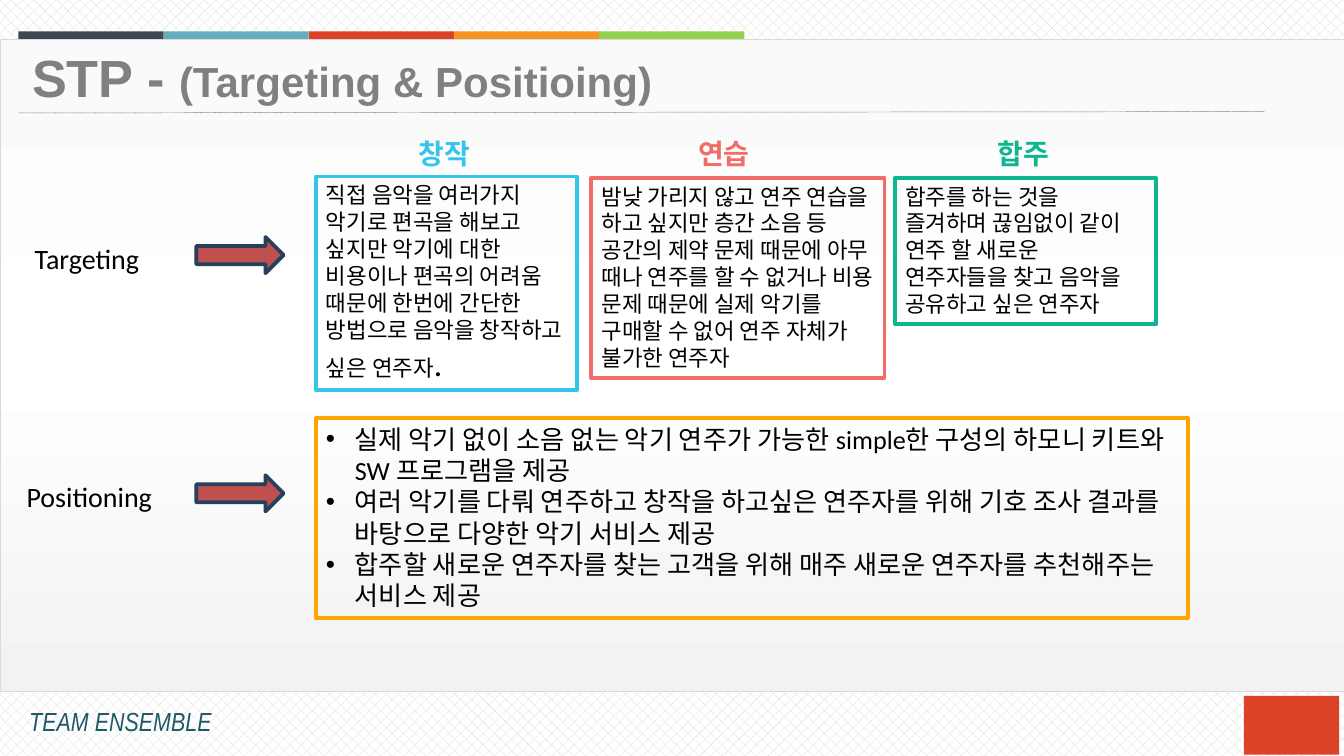
from lxml import etree
from pptx import Presentation
from pptx.dml.color import RGBColor as RGB
from pptx.enum.dml import MSO_LINE, MSO_PATTERN
from pptx.enum.shapes import MSO_CONNECTOR, MSO_SHAPE
from pptx.enum.text import MSO_AUTO_SIZE
from pptx.oxml.ns import qn
from pptx.util import Pt

BLACK = RGB(0x00, 0x00, 0x00)
WHITE = RGB(0xFF, 0xFF, 0xFF)
PALE_GRAY = RGB(0xF2, 0xF2, 0xF2)
NEAR_WHITE = RGB(0xFA, 0xFA, 0xFA)
LIGHT_GRAY = RGB(0xD9, 0xD9, 0xD9)
SILVER = RGB(0xBF, 0xBF, 0xBF)
TITLE_GRAY = RGB(0x80, 0x80, 0x80)
RULE_GRAY = RGB(0x59, 0x59, 0x59)
SLATE = RGB(0x41, 0x46, 0x54)
TEAL = RGB(0x67, 0xAC, 0xBC)
RED = RGB(0xDC, 0x42, 0x26)
AMBER = RGB(0xF7, 0x94, 0x21)
LIME = RGB(0x92, 0xD0, 0x50)
FOOTER_TEAL = RGB(0x21, 0x59, 0x68)
SKY = RGB(0x35, 0xC5, 0xEB)
CORAL = RGB(0xF2, 0x6D, 0x68)
GREEN = RGB(0x0D, 0xB6, 0x90)
ORANGE = RGB(0xFF, 0xA5, 0x00)
ARROW_RED = RGB(0xC0, 0x50, 0x4D)
NAVY = RGB(0x27, 0x40, 0x5E)

STRIPES = (SLATE, TEAL, RED, AMBER, LIME)
WIDE_INSETS = (7.2, 3.6)
TIGHT_INSETS = (5.4, 2.7)

TARGETS = [
    ("창작", SKY, 218.9, 51, (169.2, 94.5, 139.9, 114.5),
     [("직접 음악을 여러가지 악기로 편곡을 해보고 싶지만 악기에 대한 비용이나 편곡의 어려움 "
       "때문에 한번에 간단한 방법으로 음악을 창작하고 싶은 연주자", 12), (".", 18)]),
    ("연습", CORAL, 368.6, 51, (316.8, 95.2, 157, 107.3),
     [("밤낮 가리지 않고 연주 연습을 하고 싶지만 층간 소음 등 공간의 제약 문제 때문에 아무 때나 "
       "연주를 할 수 없거나 비용 문제 때문에 실제 악기를 구매할 수 없어 연주 자체가 불가한 연주자", 12)]),
    ("합주", GREEN, 529.2, 57.6, (479.5, 95.2, 139.9, 78.5),
     [("합주를 하는 것을 즐겨하며 끊임없이 같이 연주 할 새로운 연주자들을 찾고 음악을 "
       "공유하고 싶은 연주자", 12)]),
]
POSITIONING = [
    "실제 악기 없이 소음 없는 악기 연주가 가능한 simple한 구성의 하모니 키트와 SW 프로그램을 제공",
    "여러 악기를 다뤄 연주하고 창작을 하고싶은 연주자를 위해 기호 조사 결과를 바탕으로 다양한 악기 서비스 제공",
    "합주할 새로운 연주자를 찾는 고객을 위해 매주 새로운 연주자를 추천해주는 서비스 제공",
]
ROWS = [("Targeting", 11.5, 126), ("Positioning", 7.2, 253.6)]


def points(*values):
    return [Pt(value) for value in values]


def set_pattern(fill, pattern, front):
    fill.patterned()
    fill.pattern = pattern
    fill.fore_color.rgb = front
    fill.back_color.rgb = WHITE


def add_block(slide, box, color=None, line=None, line_width=2, kind=MSO_SHAPE.RECTANGLE):
    shape = slide.shapes.add_shape(kind, *points(*box))
    shape.shadow.inherit = False
    if color is not None:
        shape.fill.solid()
        shape.fill.fore_color.rgb = color
    if line is None:
        shape.line.fill.background()
    else:
        shape.line.color.rgb = line
        shape.line.width = Pt(line_width)
    return shape


def set_gradient(shape, stops):
    shape.fill.gradient()
    shape.fill.gradient_angle = 90
    stop_list = shape._element.spPr.find(qn("a:gradFill")).find(qn("a:gsLst"))
    for stop in list(stop_list):
        stop_list.remove(stop)
    for position, color in stops:
        stop = etree.SubElement(stop_list, qn("a:gs"), pos=str(position * 1000))
        etree.SubElement(stop, qn("a:srgbClr"), val=str(color))


def add_bullet(paragraph, indent):
    properties = paragraph._p.get_or_add_pPr()
    properties.set("marL", str(Pt(indent)))
    properties.set("indent", str(-Pt(indent)))
    bullet_color = etree.SubElement(properties, qn("a:buClr"))
    etree.SubElement(bullet_color, qn("a:srgbClr"), val=str(BLACK))
    etree.SubElement(properties, qn("a:buFont"), typeface="Arial")
    etree.SubElement(properties, qn("a:buChar"), char="•")


def add_text(slide, box, paragraphs, font="Calibri", color=BLACK, bold=False, italic=False,
             insets=WIDE_INSETS, border=None, bullets=False):
    shape = slide.shapes.add_textbox(*points(*box))
    if border is not None:
        shape.line.color.rgb = border
        shape.line.width = Pt(2)
    frame = shape.text_frame
    frame.word_wrap = True
    frame.auto_size = MSO_AUTO_SIZE.SHAPE_TO_FIT_TEXT
    frame.margin_left = frame.margin_right = Pt(insets[0])
    frame.margin_top = frame.margin_bottom = Pt(insets[1])
    for index, runs in enumerate(paragraphs):
        paragraph = frame.add_paragraph() if index else frame.paragraphs[0]
        if bullets:
            add_bullet(paragraph, 15.5)
        for text, size in runs:
            run = paragraph.add_run()
            run.text = text
            run.font.name = font
            run.font.size = Pt(size)
            run.font.bold = bold
            run.font.italic = italic
            run.font.color.rgb = color


def add_rule(slide, start, end):
    rule = slide.shapes.add_connector(MSO_CONNECTOR.STRAIGHT, *points(*start, *end))
    rule.line.color.rgb = RULE_GRAY
    rule.line.width = Pt(0.25)
    rule.line.dash_style = MSO_LINE.ROUND_DOT
    etree.SubElement(rule._element.spPr, qn("a:effectLst"))


def add_frame(slide):
    set_pattern(slide.background.fill, MSO_PATTERN.PERCENT_5, SILVER)
    backdrop = add_block(slide, (0, 0, 720, 405))
    set_pattern(backdrop.fill, MSO_PATTERN.ERCENT_40, LIGHT_GRAY)
    for index, color in enumerate(STRIPES):
        add_block(slide, (9.8 + index * 77.8, 16.8, 77.8, 9.8), color)
    card = add_block(slide, (0, 21, 720, 349.4), line=LIGHT_GRAY, line_width=0.25)
    set_gradient(card, [(0, PALE_GRAY), (50, WHITE), (100, NEAR_WHITE)])
    add_text(slide, (8.6, 374.4, 155.5, 24.5), [[("TEAM ENSEMBLE", 14)]],
             font="Arial Narrow", color=FOOTER_TEAL, italic=True)
    add_block(slide, (666.4, 372.8, 51, 31.5), RED)


def main():
    presentation = Presentation()
    presentation.slide_width, presentation.slide_height = points(720, 405)
    slide = presentation.slides.add_slide(presentation.slide_layouts[6])
    add_frame(slide)
    add_text(slide, (10.1, 20.9, 392.4, 41),
             [[("STP - ", 28), ("(Targeting & Positioing)", 22.5)]],
             font="Arial", color=TITLE_GRAY, bold=True)
    add_rule(slide, (10.1, 60.5), (677.5, 59.8))
    for heading, color, left, width, box, runs in TARGETS:
        add_text(slide, box, [runs], insets=TIGHT_INSETS, border=color)
        add_text(slide, (left, 70.6, width, 23.8), [[(heading, 15)]],
                 color=color, bold=True, insets=TIGHT_INSETS)
    add_text(slide, (169.2, 223.9, 467.3, 107.3), [[(text, 14)] for text in POSITIONING],
             insets=TIGHT_INSETS, border=ORANGE, bullets=True)
    for label, left, top in ROWS:
        add_text(slide, (left, top, 102, 25.2), [[(label, 15)]])
        add_block(slide, (105.1, top + 1, 46.8, 19.4), ARROW_RED, NAVY,
                  kind=MSO_SHAPE.RIGHT_ARROW)
    presentation.save("out.pptx")


if __name__ == "__main__":
    main()
